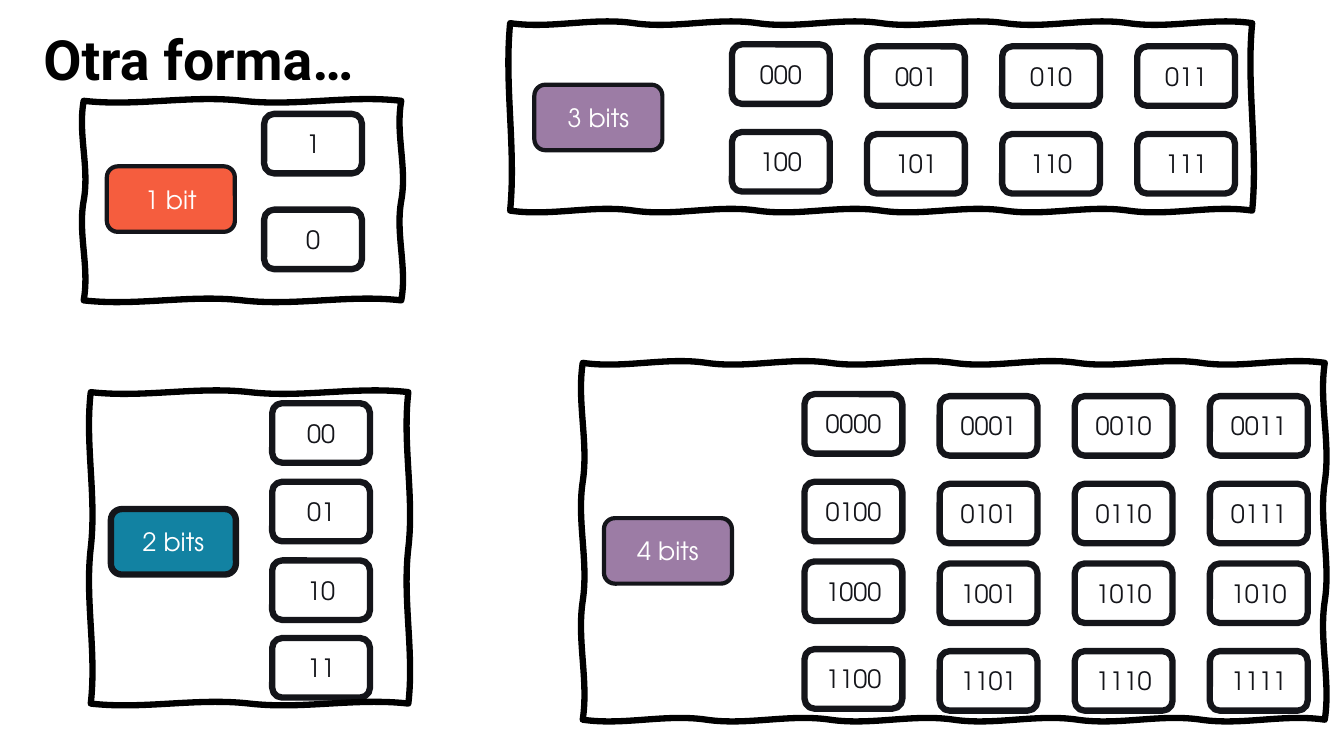
from dataclasses import dataclass
from itertools import pairwise
from math import hypot

from lxml.etree import SubElement
from pptx import Presentation
from pptx.dml.color import RGBColor
from pptx.enum.shapes import MSO_SHAPE as Shape
from pptx.enum.text import MSO_ANCHOR as Anchor, MSO_AUTO_SIZE as AutoSize, PP_ALIGN as Align
from pptx.oxml.ns import qn
from pptx.util import Inches, Pt


@dataclass(frozen=True)
class Theme:
    title_font: str = "Roboto"
    body_font: str = "TeX Gyre Adventor"
    title_size: float = 39.6
    body_size: float = 18
    black: str = "000000"
    ink: str = "14151A"
    white: str = "FFFFFF"
    orange: str = "F55D3E"
    blue: str = "1282A2"
    purple: str = "9C7CA5"
    thin: float = 3
    thick: float = 4.5


THEME = Theme()
CODE_WIDTH, CODE_HEIGHT = 0.97, 0.59
COLUMN_PITCH = 1.34
LABEL_HEIGHT = 0.65
FIRST_COLUMN_LIFT = 0.02
WAVE_LENGTH, WAVE_SWAY = 1.3, 0.06


@dataclass(frozen=True)
class Panel:
    """Box is on the slide; label and code positions are relative to it."""
    box: tuple
    label: str
    color: str
    label_at: tuple
    codes_left: float
    row_tops: tuple
    codes: tuple
    label_width: float = 1.27
    label_line: float = THEME.thin
    code_fill: str | None = None


PANELS = (
    Panel((0.83, 1, 3.15, 1.98), "1 bit", THEME.orange, (0.23, 0.65),
          1.79, (0.13, 1.08), ("1", "0")),
    Panel((0.9, 3.89, 3.15, 3.09), "2 bits", THEME.blue, (0.2, 1.16),
          1.8, (0.11, 0.89, 1.67, 2.44), ("00", "01", "10", "11"),
          label_width=1.24, label_line=THEME.thick, code_fill=THEME.white),
    Panel((5.06, 0.23, 7.36, 1.86), "3 bits", THEME.purple, (0.24, 0.61),
          2.2, (0.23, 1.1), ("000 001 010 011", "100 101 110 111")),
    Panel((5.78, 3.6, 7.36, 3.54), "4 bits", THEME.purple, (0.21, 1.54),
          2.2, (0.33, 1.2, 1.99, 2.86),
          ("0000 0001 0010 0011", "0100 0101 0110 0111",
           "1000 1001 1010 1010", "1100 1101 1110 1111")),
)


def format_run(run, font, size, color, bold=False):
    run.font.name = font
    run.font.size = Pt(size)
    run.font.bold = bold
    run.font.color.rgb = RGBColor.from_string(color)


def paint(shape, fill, line_color, line_width):
    shape.shadow.inherit = False
    if fill:
        shape.fill.solid()
        shape.fill.fore_color.rgb = RGBColor.from_string(fill)
    else:
        shape.fill.background()
    shape.line.color.rgb = RGBColor.from_string(line_color)
    shape.line.width = Pt(line_width)


def add_title(slide, box, text):
    title = slide.shapes.title
    title.left, title.top, title.width, title.height = map(Inches, box)
    frame = title.text_frame
    frame.text = text
    frame.auto_size = AutoSize.NONE
    frame.vertical_anchor = Anchor.MIDDLE
    paragraph = frame.paragraphs[0]
    paragraph.alignment = Align.LEFT
    paragraph.line_spacing = 0.9
    format_run(paragraph.runs[0], THEME.title_font, THEME.title_size, THEME.black, bold=True)


def add_rounded_box(group, box, text, fill, text_color, line_width):
    shape = group.shapes.add_shape(Shape.ROUNDED_RECTANGLE, *map(Inches, box))
    paint(shape, fill, THEME.ink, line_width)
    frame = shape.text_frame
    frame.text = text
    frame.vertical_anchor = Anchor.MIDDLE
    paragraph = frame.paragraphs[0]
    paragraph.alignment = Align.CENTER
    format_run(paragraph.runs[0], THEME.body_font, THEME.body_size, text_color)


def split_edge(start, end):
    """Evenly spaced points along an edge, one per wave, without its start."""
    (x1, y1), (x2, y2) = start, end
    waves = round(hypot(x2 - x1, y2 - y1) / WAVE_LENGTH)
    return [(Inches(x1 + (x2 - x1) * wave / waves), Inches(y1 + (y2 - y1) * wave / waves))
            for wave in range(1, waves + 1)]


def bend_segments(shape):
    """Turn each straight segment of a freeform into a gentle S-curve."""
    start = (0, 0)
    for segment in list(shape.element.iter(qn("a:lnTo"))):
        point = segment[0]
        end = int(point.get("x")), int(point.get("y"))
        run, rise = end[0] - start[0], end[1] - start[1]
        sway = Inches(WAVE_SWAY) / hypot(run, rise)
        curve = segment.makeelement(qn("a:cubicBezTo"))
        for part, side in ((1 / 3, sway), (2 / 3, -sway), (1, 0)):
            SubElement(curve, qn("a:pt"),
                       x=str(round(start[0] + run * part - rise * side)),
                       y=str(round(start[1] + rise * part + run * side)))
        segment.getparent().replace(segment, curve)
        start = end


def add_sketched_frame(group, box):
    left, top, width, height = box
    right, bottom = left + width, top + height
    corners = [(left, top), (right, top), (right, bottom), (left, bottom), (left, top)]
    builder = group.shapes.build_freeform(Inches(left), Inches(top))
    points = [point for edge in pairwise(corners) for point in split_edge(*edge)]
    builder.add_line_segments(points, close=True)
    frame = builder.convert_to_shape()
    bend_segments(frame)
    paint(frame, None, THEME.black, THEME.thick)


def add_panel(slide, panel):
    group = slide.shapes.add_group_shape()
    left, top = panel.box[:2]
    label_left, label_top = panel.label_at
    add_rounded_box(group, (left + label_left, top + label_top, panel.label_width, LABEL_HEIGHT),
                    panel.label, panel.color, THEME.white, panel.label_line)
    for row_top, row in zip(panel.row_tops, panel.codes):
        codes = row.split()
        for column, code in enumerate(codes):
            lift = FIRST_COLUMN_LIFT if column == 0 and len(codes) > 1 else 0
            code_box = (left + panel.codes_left + column * COLUMN_PITCH, top + row_top - lift,
                        CODE_WIDTH, CODE_HEIGHT)
            add_rounded_box(group, code_box, code, panel.code_fill, THEME.ink, THEME.thick)
    add_sketched_frame(group, panel.box)


def main():
    presentation = Presentation()
    presentation.slide_width, presentation.slide_height = Inches(13.33), Inches(7.5)
    slide = presentation.slides.add_slide(presentation.slide_layouts[5])
    add_title(slide, (0.33, 0.25, 3.33, 0.75), "Otra forma…")
    for panel in PANELS:
        add_panel(slide, panel)
    presentation.save("out.pptx")


if __name__ == "__main__":
    main()
